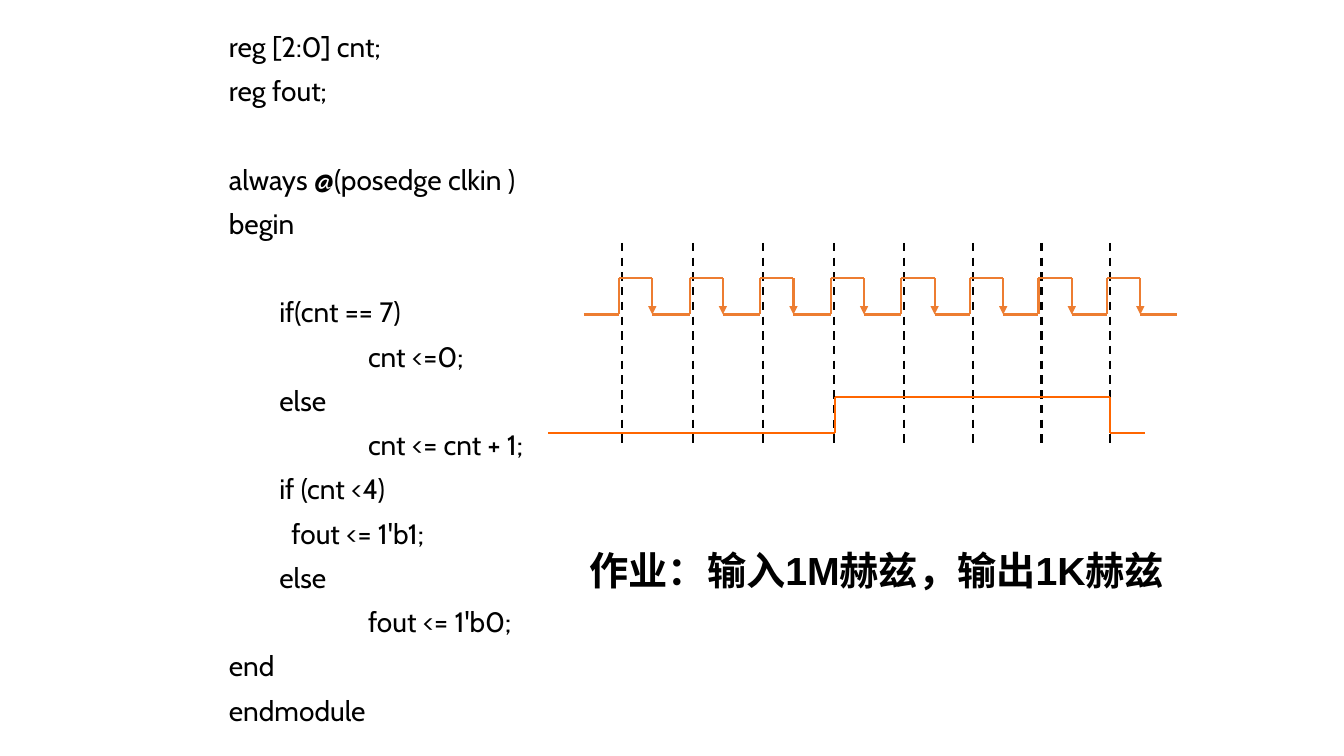
from itertools import accumulate, pairwise

from lxml import etree
from pptx import Presentation
from pptx.dml.color import RGBColor
from pptx.enum import dml, shapes, text
from pptx.oxml.ns import qn
from pptx.util import Inches, Pt

BLACK = RGBColor(0x00, 0x00, 0x00)
CLOCK_ORANGE = RGBColor(0xED, 0x7D, 0x31)
OUTPUT_ORANGE = RGBColor(0xFF, 0x66, 0x00)

# Code line, indent in inches, blank lines above it
CODE = [
    ("reg [2:0] cnt;", 0, 0),
    ("reg fout;", 0, 0),
    ("always @(posedge clkin )", 0, 1),
    ("begin", 0, 0),
    ("if(cnt == 7)", 0.5, 1),
    ("cnt <=0;", 1.38, 0),
    ("else", 0.5, 0),
    ("cnt <= cnt + 1;", 1.38, 0),
    ("if (cnt <4)", 0.5, 0),
    ("fout <= 1'b1;", 0.62, 0),
    ("else", 0.5, 0),
    ("fout <= 1'b0;", 1.38, 0),
    ("end", 0, 0),
    ("endmodule", 0, 0),
]
HOMEWORK = "作业：输入1M赫兹，输出1K赫兹"
PARAGRAPH_GAP, BLANK_LINE = 10, 31.6

# Timing diagram: eight rising edges, the last three slightly closer together
EDGES = list(accumulate([6.17] + [0.7] * 4 + [0.68] * 3))
GUIDE_TOP, GUIDE_BOTTOM = 2.41, 4.4
CLOCK_HIGH, CLOCK_LOW, PULSE = 2.76, 3.12, 0.33
CLOCK_START, CLOCK_END, CLOCK_LEAD = 5.79, 11.67, 0.03
OUTPUT_HIGH, OUTPUT_LOW = 3.94, 4.3
OUTPUT_START, OUTPUT_RISE, OUTPUT_FALL, OUTPUT_END = 5.44, 8.28, 11.01, 11.36


def place(shape, left, top, width, height):
    shape.left, shape.top = Inches(left), Inches(top)
    shape.width, shape.height = Inches(width), Inches(height)


def write(paragraph, content, font, size, bold=False, indent=0, before=0, spacing=1.0):
    run = paragraph.add_run()
    run.text = content
    run.font.name, run.font.size, run.font.bold = font, Pt(size), bold
    run.font.color.rgb = BLACK
    paragraph.alignment = text.PP_ALIGN.LEFT
    paragraph.space_before, paragraph.line_spacing = Pt(before), spacing
    properties = paragraph._p.get_or_add_pPr()
    properties.set("marL", str(Inches(indent)))
    properties.set("indent", "0")
    etree.SubElement(properties, qn("a:buNone"))


def draw_line(group, start, end, color, dashed=False, arrow=False):
    points = [Inches(value) for value in (*start, *end)]
    connector = group.shapes.add_connector(shapes.MSO_CONNECTOR.STRAIGHT, *points)
    connector.line.color.rgb = color
    connector.line.width = Pt(1.5)
    if dashed:
        connector.line.dash_style = dml.MSO_LINE.DASH
    if arrow:
        etree.SubElement(connector.line._get_or_add_ln(), qn("a:tailEnd"), type="triangle")
    etree.SubElement(connector._element.spPr, qn("a:effectLst"))


def draw_wave(group, points, color, arrows=False):
    """Join the points in turn; falling sides may carry arrowheads."""
    for start, end in pairwise(points):
        falling = start[0] == end[0] and end[1] > start[1]
        draw_line(group, start, end, color, arrow=arrows and falling)


def add_code(slide):
    slide.shapes.title._element.getparent().remove(slide.shapes.title._element)
    body = slide.placeholders[1]
    place(body, 2.17, 0.28, 9.3, 7.22)
    frame = body.text_frame
    frame.auto_size = text.MSO_AUTO_SIZE.NONE
    frame.vertical_anchor = text.MSO_ANCHOR.TOP
    for number, (line, indent, blanks) in enumerate(CODE):
        paragraph = frame.add_paragraph() if number else frame.paragraphs[0]
        write(paragraph, line, "Cabin", 20, indent=indent, spacing=0.9,
              before=PARAGRAPH_GAP + blanks * BLANK_LINE)


def add_timing(slide):
    guides, clock, output = (slide.shapes.add_group_shape() for _ in range(3))
    for x in EDGES:
        draw_line(guides, (x, GUIDE_TOP), (x, GUIDE_BOTTOM), BLACK, dashed=True)

    clock_points = [(CLOCK_START, CLOCK_LOW)]
    for x in EDGES:
        rise = x - CLOCK_LEAD
        fall = rise + PULSE
        clock_points += [(rise, CLOCK_LOW), (rise, CLOCK_HIGH),
                         (fall, CLOCK_HIGH), (fall, CLOCK_LOW)]
    clock_points.append((CLOCK_END, CLOCK_LOW))
    draw_wave(clock, clock_points, CLOCK_ORANGE, arrows=True)

    draw_wave(output, [(OUTPUT_START, OUTPUT_LOW), (OUTPUT_RISE, OUTPUT_LOW),
                       (OUTPUT_RISE, OUTPUT_HIGH), (OUTPUT_FALL, OUTPUT_HIGH),
                       (OUTPUT_FALL, OUTPUT_LOW), (OUTPUT_END, OUTPUT_LOW)], OUTPUT_ORANGE)


def add_homework(slide):
    box = slide.shapes.add_textbox(0, 0, 0, 0)
    place(box, 5.75, 5.37, 5.93, 0.57)
    box.text_frame.word_wrap = True
    write(box.text_frame.paragraphs[0], HOMEWORK, "Arial", 28, bold=True)


def main():
    presentation = Presentation()
    presentation.slide_width, presentation.slide_height = Inches(13.33), Inches(7.5)
    slide = presentation.slides.add_slide(presentation.slide_layouts[1])
    add_code(slide)
    add_timing(slide)
    add_homework(slide)
    presentation.save("out.pptx")


if __name__ == "__main__":
    main()
